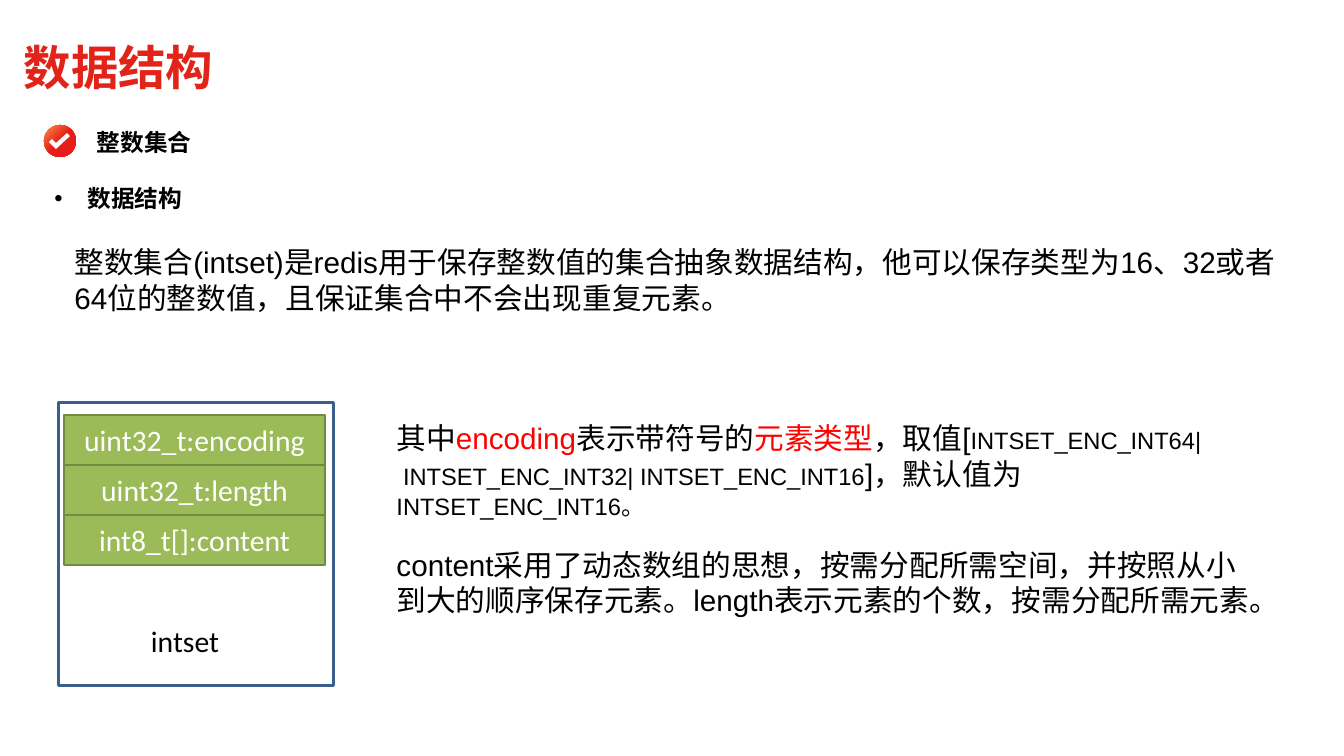
from lxml import etree
from pptx import Presentation
from pptx.dml.color import RGBColor
from pptx.enum.shapes import MSO_SHAPE as SHAPE
from pptx.enum.text import MSO_ANCHOR as ANCHOR, MSO_AUTO_SIZE as AUTO_SIZE, PP_ALIGN as ALIGN
from pptx.oxml.ns import qn
from pptx.util import Emu, Pt

EMU_PER_PX = 8572.5
CJK_FONT = "Noto Sans CJK SC"
BLACK, WHITE, RED, BRAND_RED = "000000", "FFFFFF", "FF0000", "E2231A"
HEADING = {"name": CJK_FONT, "size": Pt(16), "bold": True}
BODY = {"name": "Arial", "size": Pt(20)}
CONSTANT = {"name": "Arial", "size": Pt(16)}
FIELD = {"name": "Calibri", "size": Pt(20)}


def px(value):
    return Emu(round(value * EMU_PER_PX))


def rgb(color):
    return RGBColor.from_string(color)


def add_run(paragraph, text, style, color=BLACK):
    run = paragraph.add_run()
    run.text = text
    for name, value in style.items():
        setattr(run.font, name, value)
    run.font.color.rgb = rgb(color)
    east_asian = etree.SubElement(run.font._element, qn("a:ea"))
    east_asian.set("typeface", CJK_FONT)


def add_text(shapes, box, runs, wrap=True, auto_size=AUTO_SIZE.SHAPE_TO_FIT_TEXT):
    """Add a text box whose first paragraph holds (text, style, color) runs."""
    frame = shapes.add_textbox(*map(px, box)).text_frame
    frame.word_wrap = wrap
    frame.auto_size = auto_size
    for run in runs:
        add_run(frame.paragraphs[0], *run)
    return frame


def add_bullet(paragraph, indent):
    properties = paragraph._p.get_or_add_pPr()
    properties.set("marL", str(px(indent)))
    properties.set("indent", str(-px(indent)))
    etree.SubElement(properties, qn("a:buFont")).set("typeface", "Arial")
    etree.SubElement(properties, qn("a:buChar")).set("char", "•")


def add_box(shapes, box, fill, line, width):
    shape = shapes.add_shape(SHAPE.RECTANGLE, *map(px, box))
    shape.shadow.inherit = False
    if fill:
        shape.fill.solid()
        shape.fill.fore_color.rgb = rgb(fill)
    else:
        shape.fill.background()
    shape.line.color.rgb = rgb(line)
    shape.line.width = Pt(width)
    return shape


def add_field(shapes, box, text):
    frame = add_box(shapes, box, "9BBB59", "738A42", 1).text_frame
    frame.vertical_anchor = ANCHOR.MIDDLE
    frame.paragraphs[0].alignment = ALIGN.CENTER
    add_run(frame.paragraphs[0], text, FIELD, WHITE)


def add_check_badge(shapes):
    disc = shapes.add_shape(SHAPE.OVAL, *map(px, (44, 125, 32, 32)))
    disc.fill.gradient()
    disc.fill.gradient_angle = 315
    for stop, (position, color) in zip(disc.fill.gradient_stops, [(0, "F79646"), (0.5, "E61D1A")]):
        stop.position = position
        stop.color.rgb = rgb(color)

    builder = shapes.build_freeform(56, 149, scale=EMU_PER_PX)
    builder.add_line_segments([(49, 142), (52, 139), (56, 143), (67, 133), (70, 136)])
    check = builder.convert_to_shape()
    check.fill.solid()
    check.fill.fore_color.rgb = rgb(WHITE)
    for shape in (disc, check):
        shape.shadow.inherit = False
        shape.line.fill.background()


def add_intset_diagram(shapes):
    group = shapes.add_group_shape().shapes
    row_height = 50
    for row, field in enumerate(["uint32_t:encoding", "uint32_t:length", "int8_t[]:content"]):
        add_field(group, (64, 415 + row * row_height, 261, row_height), field)
    add_box(group, (59, 403, 275, 283), None, "3A5F8C", 2)
    label = add_text(group, (55, 604, 260, 73), [("intset", FIELD)], auto_size=AUTO_SIZE.NONE)
    label.vertical_anchor = ANCHOR.MIDDLE
    label.paragraphs[0].alignment = ALIGN.CENTER


def format_title(title, text):
    title.left, title.top, title.width, title.height = map(px, (13, 33, 294, 76))
    frame = title.text_frame
    frame.auto_size = AUTO_SIZE.NONE
    frame.vertical_anchor = ANCHOR.TOP
    frame.paragraphs[0].alignment = ALIGN.LEFT
    add_run(frame.paragraphs[0], text, HEADING | {"size": Pt(32)}, BRAND_RED)


def add_explanation(shapes):
    frame = add_text(shapes, (386, 415, 874, 184), [
        ("其中", BODY),
        ("encoding", BODY, RED),
        ("表示带符号的", BODY),
        ("元素类型", BODY, RED),
        ("，取值[", BODY),
        ("INTSET_ENC_INT64|", CONSTANT),
    ])
    constants = frame.add_paragraph()
    add_run(constants, " INTSET_ENC_INT32| INTSET_ENC_INT16", CONSTANT)
    add_run(constants, "]，默认值为", BODY)
    add_run(constants, "INTSET_ENC_INT16。", CONSTANT)
    content = frame.add_paragraph()
    content.space_before = Pt(18)
    add_run(content, "content采用了动态数组的思想，按需分配所需空间，并按照从小到大的顺序保存元素。"
                     "length表示元素的个数，按需分配所需元素。", BODY)


def main():
    presentation = Presentation()
    presentation.slide_width, presentation.slide_height = px(1344), px(756)
    slide = presentation.slides.add_slide(presentation.slide_layouts[5])
    shapes = slide.shapes

    format_title(shapes.title, "数据结构")
    add_check_badge(shapes)
    section = add_text(shapes, (76, 117, 139, 50), [("整数集合", HEADING)], wrap=False)
    section.margin_left = section.margin_right = px(21)
    section.margin_top = section.margin_bottom = px(11)
    topic = add_text(shapes, (44, 179, 151, 39), [("数据结构", HEADING)], wrap=False)
    add_bullet(topic.paragraphs[0], 33)
    add_text(shapes, (64, 239, 1230, 82), [
        ("整数集合(intset)是redis用于保存整数值的集合抽象数据结构，他可以保存类型为16、32"
         "或者64位的整数值，且保证集合中不会出现重复元素。", BODY),
    ])
    add_intset_diagram(shapes)
    add_explanation(shapes)
    presentation.save("out.pptx")


if __name__ == "__main__":
    main()
